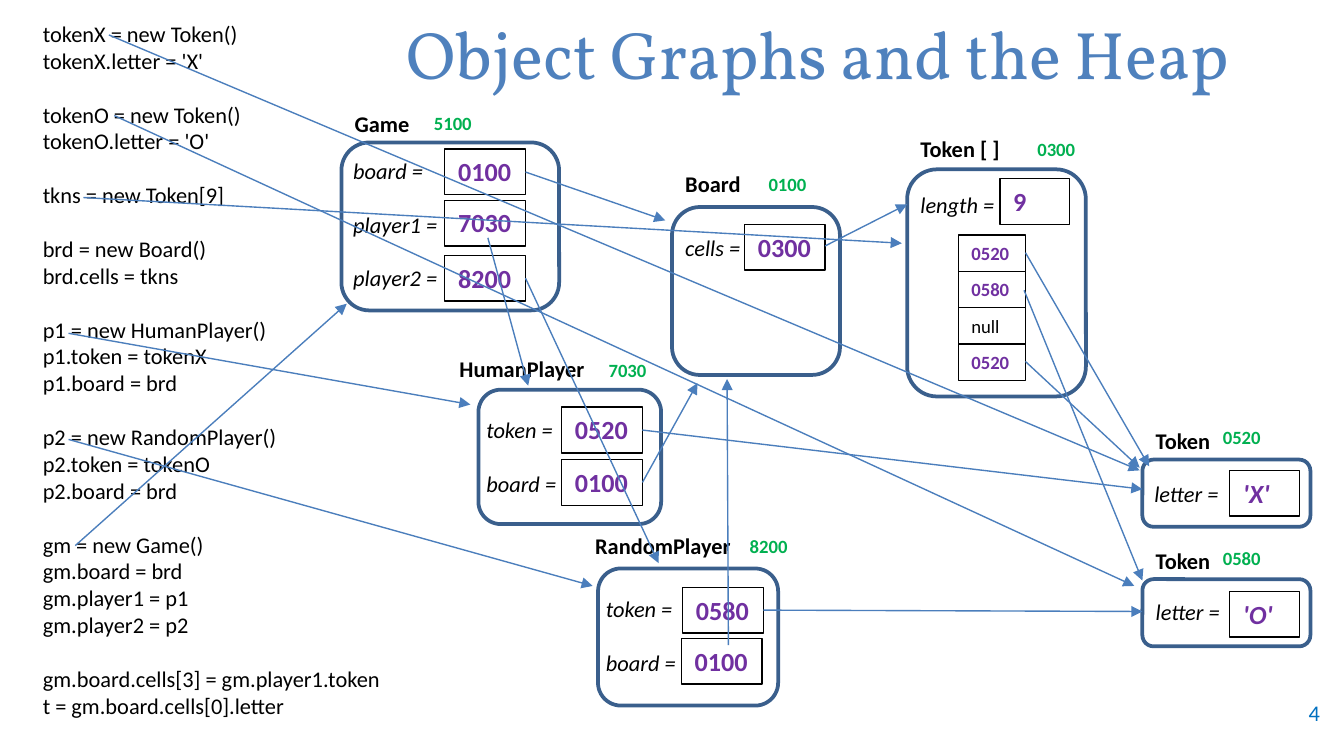
from dataclasses import dataclass

from lxml import etree
from pptx import Presentation
from pptx.dml.color import RGBColor
from pptx.enum import shapes, text
from pptx.oxml import ns
from pptx.util import Inches, Pt

BLACK = RGBColor(0x00, 0x00, 0x00)
WHITE = RGBColor(0xFF, 0xFF, 0xFF)
TITLE_BLUE = RGBColor(0x4F, 0x81, 0xBD)
NUMBER_BLUE = RGBColor(0x00, 0x70, 0xC0)
FRAME_BLUE = RGBColor(0x3A, 0x5F, 0x8C)
ARROW_BLUE = RGBColor(0x4B, 0x7E, 0xBC)
GREEN = RGBColor(0x00, 0xB0, 0x50)
PURPLE = RGBColor(0x70, 0x30, 0xA0)

BLANK_LINE = 14.4
VALUE_WIDTH, VALUE_HEIGHT = 0.6, 0.34
CELL_WIDTH, CELL_HEIGHT, CELL_PITCH = 0.5, 0.27, 0.27

Point = tuple[float, float]
Box = tuple[float, float, float, float]


@dataclass
class Value:
    content: str
    at: Point
    width: float = VALUE_WIDTH
    italic: bool = False


@dataclass
class HeapObject:
    name: str
    name_at: Point
    address: str
    address_at: Point
    frame: Box
    labels: list[str]
    labels_at: Point
    values: list[Value]


@dataclass
class Arrow:
    start: Point
    end: Point


HEAP_OBJECTS = [
    HeapObject("HumanPlayer", (3.32, 2.59), "7030", (4.43, 2.62), (3.56, 2.9, 1.36, 1),
               ["token =", "board ="], (3.52, 3.05),
               [Value("0520", (4.18, 3.03)), Value("0100", (4.18, 3.42))]),
    HeapObject("Token", (8.5, 3.13), "0520", (9, 3.12), (8.5, 3.42, 1.25, 0.5),
               ["letter ="], (8.49, 3.52), [Value("'X'", (9.15, 3.5), 0.52, True)]),
    HeapObject("Token", (8.5, 4.02), "0580", (9, 4.02), (8.5, 4.31, 1.25, 0.5),
               ["letter ="], (8.5, 4.4), [Value("'O'", (9.15, 4.4), 0.52, True)]),
    HeapObject("RandomPlayer", (4.33, 3.91), "8200", (5.48, 3.93), (4.45, 4.23, 1.34, 1.02),
               ["token =", "board ="], (4.41, 4.38),
               [Value("0580", (5.08, 4.37)), Value("0100", (5.07, 4.75))]),
    HeapObject("Board", (5, 1.22), "0100", (5.62, 1.24), (5, 1.54, 1.25, 1.25),
               ["cells ="], (5, 1.69), [Value("0300", (5.54, 1.67))]),
    HeapObject("Token [ ]", (6.75, 0.96), "0300", (7.62, 0.98), (6.75, 1.26, 1.33, 1.69),
               ["length ="], (6.75, 1.37), [Value("9", (7.44, 1.33), 0.52)]),
    HeapObject("Game", (2.54, 0.77), "5100", (3.13, 0.78), (2.54, 1.06, 1.62, 1.25),
               ["board =", "player1 =", "player2 ="], (2.53, 1.12),
               [Value("0100", (3.31, 1.11)), Value("7030", (3.31, 1.49)),
                Value("8200", (3.31, 1.9))]),
]

ARRAY_CELLS = ["0520", "0580", "null", "0520"]

CODE_GROUPS = [
    ["tokenX = new Token()", "tokenX.letter = 'X'"],
    ["tokenO = new Token()", "tokenO.letter = 'O'"],
    ["tkns = new Token[9]"],
    ["brd = new Board()", "brd.cells = tkns"],
    ["p1 = new HumanPlayer()", "p1.token = tokenX", "p1.board = brd"],
    ["p2 = new RandomPlayer()", "p2.token = tokenO", "p2.board = brd"],
    ["gm = new Game()", "gm.board = brd", "gm.player1 = p1", "gm.player2 = p2"],
    ["gm.board.cells[3] = gm.player1.token", "t = gm.board.cells[0].letter"],
]

ARROWS = [
    Arrow((7.62, 2.16), (8.5, 4.32)),
    Arrow((7.63, 2.69), (8.48, 3.48)),
    Arrow((6.14, 1.83), (6.75, 1.52)),
    Arrow((4.78, 3.2), (8.5, 3.64)),
    Arrow((5.68, 4.54), (8.5, 4.55)),
    Arrow((4.78, 3.59), (5.19, 2.85)),
    Arrow((5.42, 4.8), (5.41, 2.82)),
    Arrow((3.91, 1.28), (4.95, 1.64)),
    Arrow((3.63, 1.77), (3.93, 2.87)),
    Arrow((3.91, 2.07), (4.9, 4.19)),
    Arrow((7.63, 1.88), (8.55, 3.47)),
    Arrow((0.81, 0.26), (8.48, 3.5)),
    Arrow((0.85, 0.86), (8.44, 4.36)),
    Arrow((0.62, 1.47), (6.71, 1.81)),
    Arrow((0.51, 2.48), (3.5, 3.01)),
    Arrow((0.51, 3.27), (4.41, 4.36)),
    Arrow((0.56, 4.06), (2.58, 2.26)),
]


def write_text(shape, groups: list[list[str]], *, size: float = 12, color: RGBColor = BLACK,
               font: str = "Calibri", bold: bool = False, italic: bool = False,
               align=text.PP_ALIGN.LEFT, anchor=text.MSO_ANCHOR.TOP) -> None:
    frame = shape.text_frame
    frame.word_wrap = True
    frame.auto_size = text.MSO_AUTO_SIZE.NONE
    frame.vertical_anchor = anchor
    frame.text = "\n".join(line for group in groups for line in group)
    paragraphs = iter(frame.paragraphs)
    for group_index, group in enumerate(groups):
        for line_index in range(len(group)):
            paragraph = next(paragraphs)
            paragraph.alignment = align
            starts_group = group_index > 0 and line_index == 0
            paragraph.space_before = Pt(BLANK_LINE if starts_group else 0)
            paragraph.font.name = font
            paragraph.font.size = Pt(size)
            paragraph.font.color.rgb = color
            paragraph.font.bold = bold
            paragraph.font.italic = italic


def add_text(slide, box: Box, groups: list[list[str]], **style) -> None:
    write_text(slide.shapes.add_textbox(*map(Inches, box)), groups, **style)


def add_box(slide, kind, box: Box, line: RGBColor, width: float, fill: RGBColor | None = None):
    shape = slide.shapes.add_shape(kind, *map(Inches, box))
    shape.shadow.inherit = False
    if fill is None:
        shape.fill.background()
    else:
        shape.fill.solid()
        shape.fill.fore_color.rgb = fill
    shape.line.color.rgb = line
    shape.line.width = Pt(width)
    return shape


def draw_object(slide, item: HeapObject) -> None:
    add_box(slide, shapes.MSO_SHAPE.ROUNDED_RECTANGLE, item.frame, FRAME_BLUE, 2)
    add_text(slide, (*item.name_at, 1.25, 0.3), [[item.name]], bold=True)
    add_text(slide, (*item.address_at, 0.62, 0.27), [[item.address]],
             size=10, color=GREEN, bold=True)
    height = 0.3 + 0.4 * (len(item.labels) - 1)
    add_text(slide, (*item.labels_at, 0.92, height), [[label] for label in item.labels],
             italic=True)
    for value in item.values:
        shape = add_box(slide, shapes.MSO_SHAPE.RECTANGLE,
                        (*value.at, value.width, VALUE_HEIGHT), BLACK, 0.75)
        write_text(shape, [[value.content]], size=14, color=PURPLE, bold=True,
                   italic=value.italic)


def draw_cells(slide) -> None:
    for index, content in enumerate(ARRAY_CELLS):
        box = (7.13, 1.75 + index * CELL_PITCH, CELL_WIDTH, CELL_HEIGHT)
        shape = add_box(slide, shapes.MSO_SHAPE.RECTANGLE, box, BLACK, 0.75, WHITE)
        empty = content == "null"
        write_text(shape, [[content]], size=10, color=BLACK if empty else PURPLE, bold=not empty)


def draw_arrow(slide, arrow: Arrow) -> None:
    connector = slide.shapes.add_connector(
        shapes.MSO_CONNECTOR.STRAIGHT, *map(Inches, (*arrow.start, *arrow.end)))
    connector.line.color.rgb = ARROW_BLUE
    connector.line.width = Pt(0.75)
    line = connector._element.spPr.find(ns.qn("a:ln"))
    etree.SubElement(line, ns.qn("a:tailEnd"), type="triangle")
    etree.SubElement(connector._element.spPr, ns.qn("a:effectLst"))


def main() -> None:
    presentation = Presentation()
    presentation.slide_width = Inches(10)
    presentation.slide_height = Inches(10 * 9 / 16)
    slide = presentation.slides.add_slide(presentation.slide_layouts[5])
    title = slide.shapes.title
    title.left, title.top, title.width, title.height = map(Inches, (2.25, 0.06, 7.67, 0.67))
    write_text(title, [["Object Graphs and the Heap"]], size=36, color=TITLE_BLUE,
               font="Vollkorn", align=text.PP_ALIGN.CENTER, anchor=text.MSO_ANCHOR.MIDDLE)
    add_text(slide, (9.25, 5.15, 0.67, 0.3), [["4"]], color=NUMBER_BLUE,
             align=text.PP_ALIGN.RIGHT, anchor=text.MSO_ANCHOR.MIDDLE)
    for item in HEAP_OBJECTS:
        draw_object(slide, item)
    draw_cells(slide)
    add_text(slide, (0.22, 0.1, 2.74, 5.5), CODE_GROUPS)
    for arrow in ARROWS:
        draw_arrow(slide, arrow)
    presentation.save("out.pptx")


if __name__ == "__main__":
    main()
